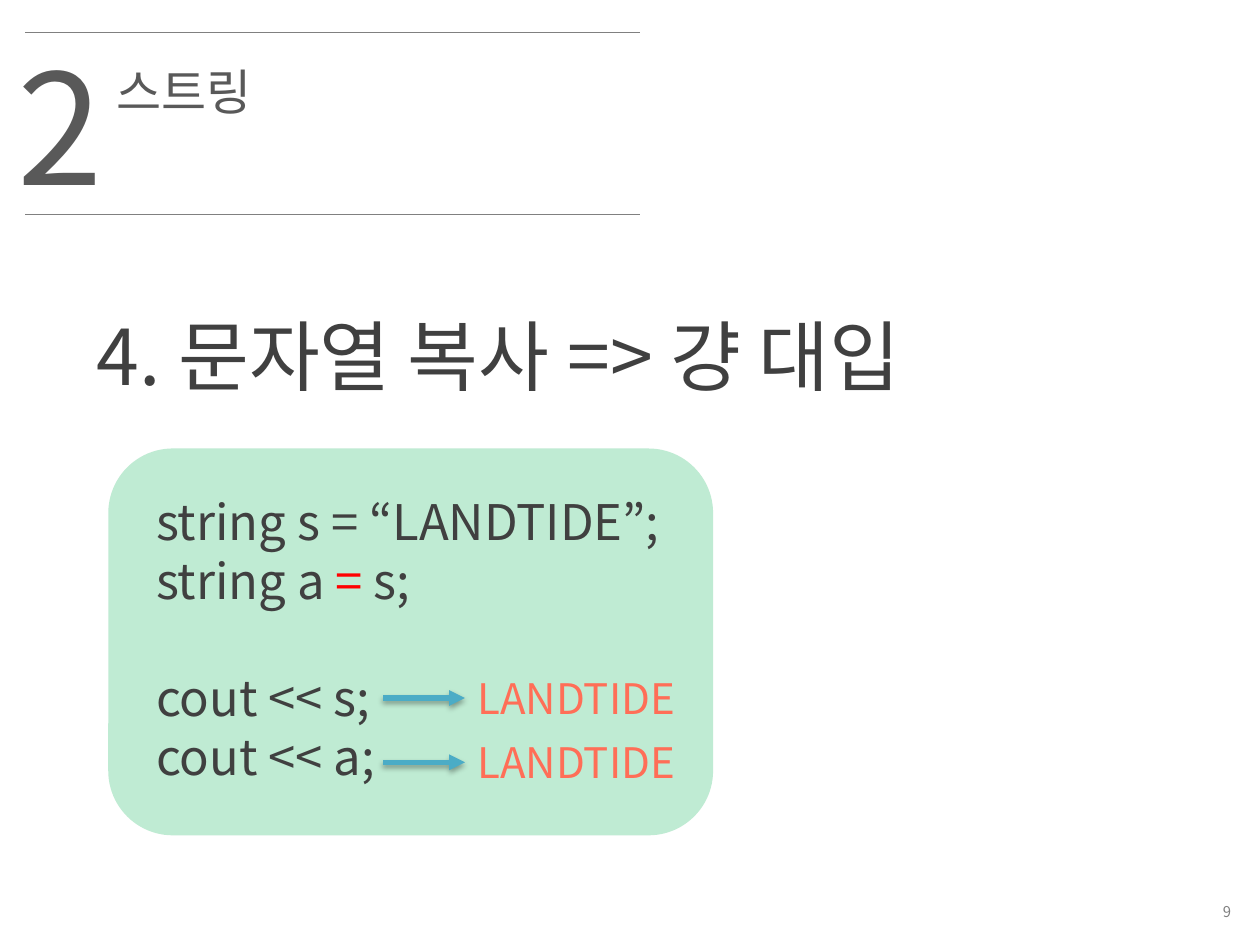
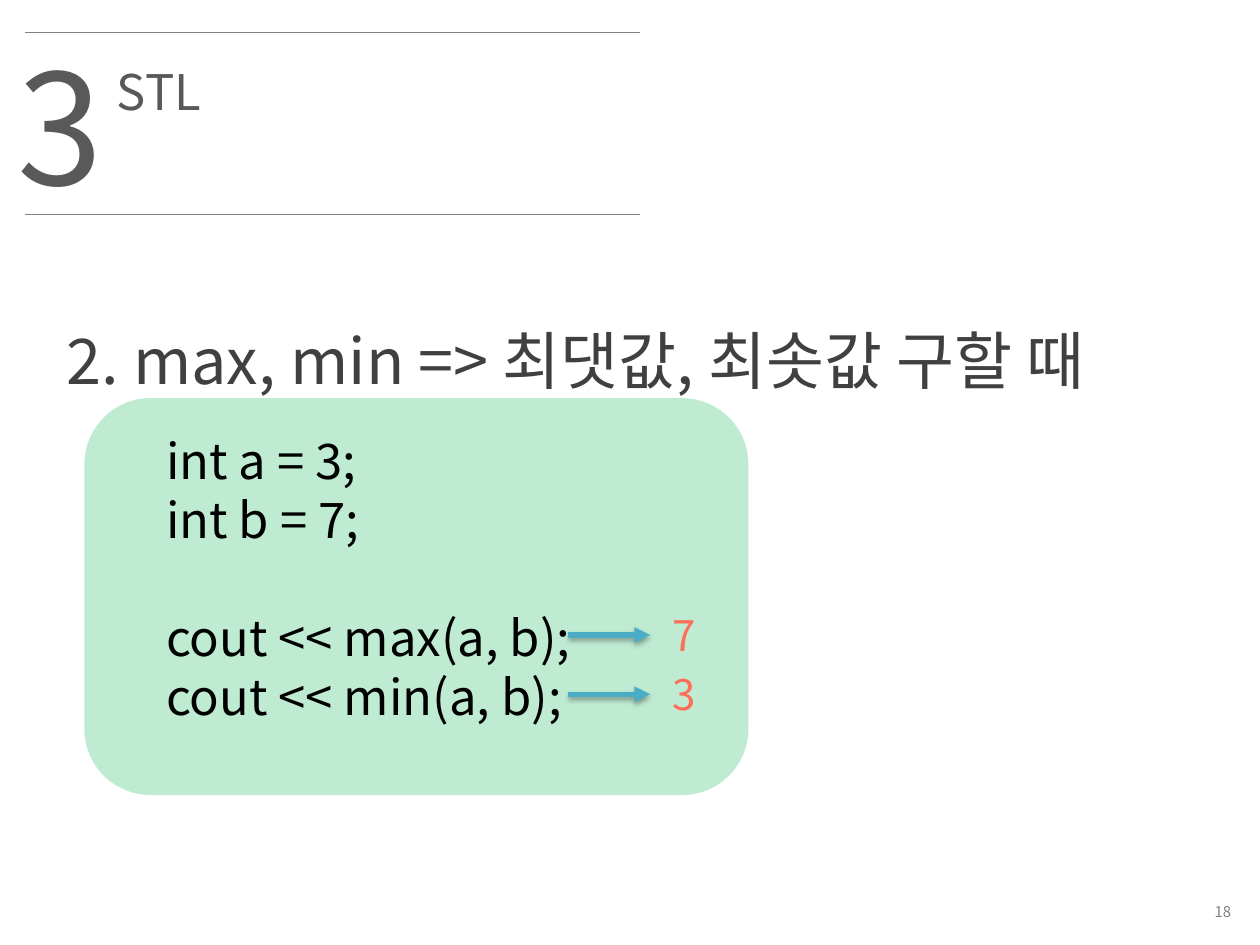
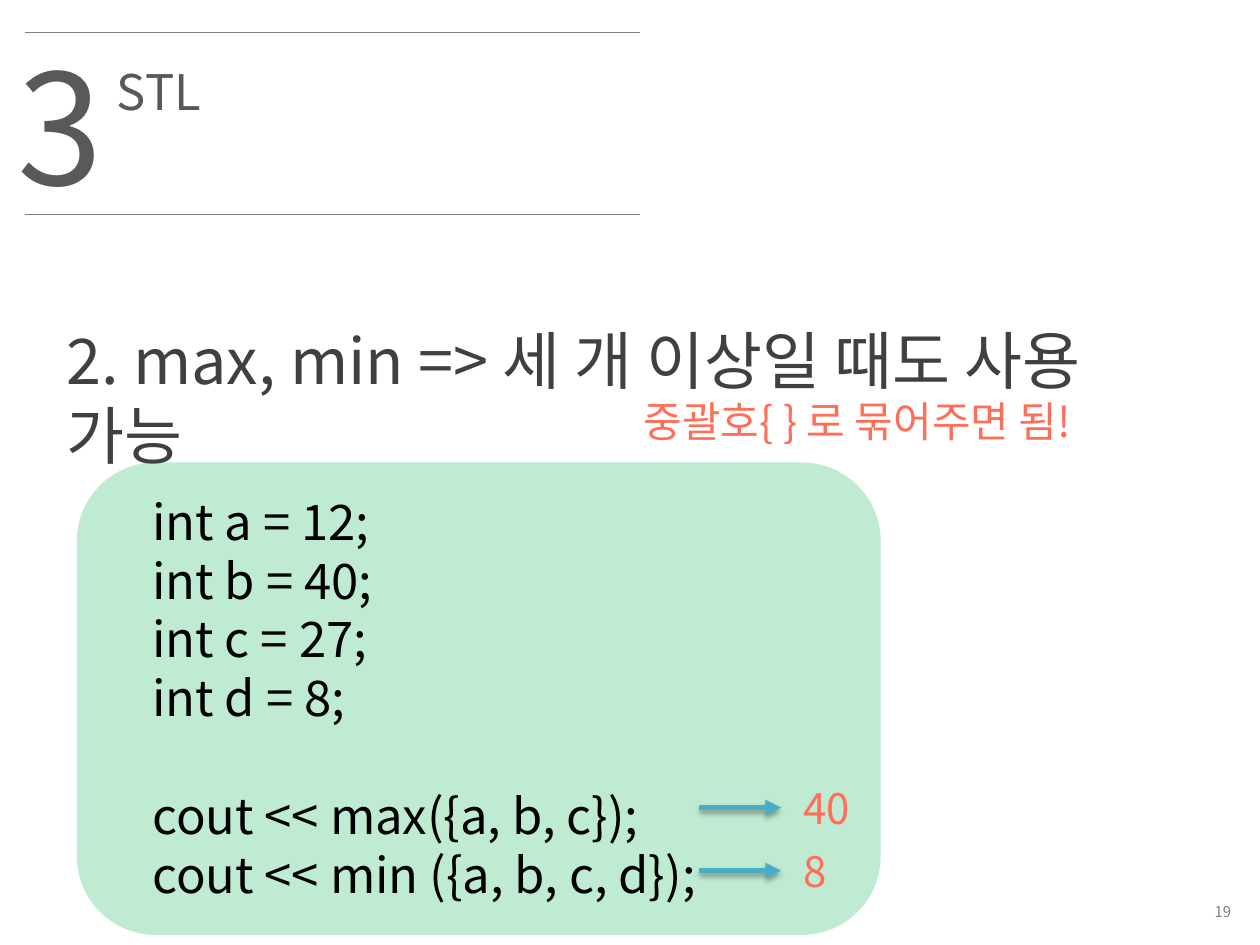
from dataclasses import dataclass
from math import isclose
from typing import Optional

from lxml.etree import SubElement
from pptx import Presentation
from pptx.dml.color import RGBColor
from pptx.enum.shapes import MSO_CONNECTOR, MSO_SHAPE
from pptx.enum.text import MSO_ANCHOR, MSO_AUTO_SIZE, PP_ALIGN
from pptx.oxml.ns import qn
from pptx.util import Emu, Inches, Pt

WIDTH, HEIGHT = Inches(10), Inches(7.5)
COLS, ROWS = 100, 75
FONT = "Noto Sans CJK KR"
DARK, HEAD, GRAY, BLACK = "404040", "595959", "808080", "000000"
RED, CORAL, GREEN, BLUE = "FF0000", "FF6E57", "00B050", "4BACC6"
HANG = 3.8
CODE_SIZE, CODE_GAP = 28, 33.6
NOTE_SIZE, NOTE_WIDE, NOTE_HIGH = 24, 22.5, 5
ARROW = 6.5


@dataclass(frozen=True)
class Box:
    left: float
    top: float
    wide: float
    high: float


@dataclass(frozen=True)
class Run:
    text: str
    tint: str


@dataclass(frozen=True)
class Line:
    runs: tuple[Run, ...]
    gap: float = 0


@dataclass(frozen=True)
class Title:
    text: str
    size: int
    box: Box


@dataclass(frozen=True)
class Code:
    box: Box
    blocks: tuple[tuple[tuple[Run, ...], ...], ...]


@dataclass(frozen=True)
class Result:
    text: str
    top: float


@dataclass(frozen=True)
class Output:
    start: float
    left: float
    items: tuple[Result, ...]


@dataclass(frozen=True)
class Page:
    count: str
    chapter: str
    topic: str
    title: Title
    card: Box
    code: Code
    output: Output
    hint: Optional[Title] = None


def col(count: float) -> Emu:
    return Emu(round(WIDTH * count / COLS))


def row(count: float) -> Emu:
    return Emu(round(HEIGHT * count / ROWS))


def place(box: Box) -> tuple[Emu, Emu, Emu, Emu]:
    return col(box.left), row(box.top), col(box.wide), row(box.high)


def color(code: str) -> RGBColor:
    return RGBColor.from_string(code)


def plain(text: str, tint: str) -> tuple[Run, ...]:
    return (Run(text, tint),)


def write(slide, box: Box, lines: list[Line], size: float, hang: bool = False):
    shape = slide.shapes.add_textbox(*place(box))
    frame = shape.text_frame
    frame.word_wrap = True
    frame.auto_size = MSO_AUTO_SIZE.SHAPE_TO_FIT_TEXT
    for index, line in enumerate(lines):
        para = frame.add_paragraph() if index else frame.paragraphs[0]
        para.space_before = Pt(line.gap)
        if hang:
            props = para._p.get_or_add_pPr()
            props.set("marL", str(col(HANG)))
            props.set("indent", str(-col(HANG)))
        for item in line.runs:
            run = para.add_run()
            run.text = item.text
            run.font.size = Pt(size)
            run.font.name = FONT
            run.font.color.rgb = color(item.tint)
            SubElement(run._r.get_or_add_rPr(), qn("a:ea"), typeface=FONT)
    return shape


def label(slide, box: Box, text: str, size: float, tint: str, hang: bool = True):
    return write(slide, box, [Line(plain(text, tint))], size, hang)


def stroke(slide, left: float, right: float, level: float, tint: str, weight: float):
    link = slide.shapes.add_connector(
        MSO_CONNECTOR.STRAIGHT, col(left), row(level), col(right), row(level)
    )
    link.line.color.rgb = color(tint)
    link.line.width = Pt(weight)
    return link, SubElement(link._element.spPr, qn("a:effectLst"))


def arrow(slide, left: float, level: float):
    link, effect = stroke(slide, left, left + ARROW, level, BLUE, 3)
    SubElement(link._element.spPr.find(qn("a:ln")), qn("a:tailEnd"), type="triangle")
    shade = SubElement(
        effect, qn("a:outerShdw"), blurRad=str(Pt(3.1)), dist=str(Pt(1.8)),
        dir="5400000", rotWithShape="0",
    )
    fade(SubElement(shade, qn("a:srgbClr"), val=BLACK), 35)
    return link


def fade(node, share: int) -> None:
    SubElement(node, qn("a:alpha"), val=str(share * 1000))


def draw_card(slide, box: Box) -> None:
    card = slide.shapes.add_shape(MSO_SHAPE.ROUNDED_RECTANGLE, *place(box))
    card.shadow.inherit = False
    card.fill.solid()
    card.fill.fore_color.rgb = color(GREEN)
    fade(card._element.spPr.find(qn("a:solidFill"))[0], 25)
    card.line.fill.background()


def draw_frame(slide, page: Page) -> None:
    foot = label(slide, Box(77.6, 71, 21.1, 2.7), page.count, 8.5, GRAY, False)
    foot.text_frame.auto_size = MSO_AUTO_SIZE.NONE
    foot.text_frame.vertical_anchor = MSO_ANCHOR.MIDDLE
    foot.text_frame.paragraphs[0].alignment = PP_ALIGN.RIGHT
    for level in (2.6, 17):
        stroke(slide, 2, 50.8, level, GRAY, 0.75)
    label(slide, Box(0.4, 2, 7.9, 15.8), page.chapter, 88, HEAD)
    label(slide, Box(8.3, 4.4, 21.3, 5.7), page.topic, 28, HEAD)


def draw_code(slide, code: Code) -> None:
    lines = [
        Line(runs, CODE_GAP if order and not index else 0)
        for order, group in enumerate(code.blocks)
        for index, runs in enumerate(group)
    ]
    write(slide, code.box, lines, CODE_SIZE)


def draw_output(slide, output: Output) -> None:
    for item in output.items:
        box = Box(output.left, item.top, NOTE_WIDE, NOTE_HIGH)
        note = label(slide, box, item.text, NOTE_SIZE, CORAL)
        link = arrow(slide, output.start, item.top + NOTE_HIGH / 2)
        if isclose(output.start + ARROW, output.left):
            link.end_connect(note, 1)


def draw_page(deck, page: Page) -> None:
    slide = deck.slides.add_slide(deck.slide_layouts[6])
    draw_card(slide, page.card)
    draw_frame(slide, page)
    label(slide, page.title.box, page.title.text, page.title.size, DARK, False)
    draw_code(slide, page.code)
    draw_output(slide, page.output)
    if page.hint:
        label(slide, page.hint.box, page.hint.text, page.hint.size, CORAL)


def block(tint: str, *texts: str) -> tuple[tuple[Run, ...], ...]:
    return tuple(plain(text, tint) for text in texts)


WORD = "LANDTIDE"
PAGES = (
    Page(
        "9", "2", "스트링",
        Title("4. 문자열 복사 => 걍 대입", 44, Box(6.7, 24, 93.3, 8.4)),
        Box(8.6, 35.6, 48, 30.7),
        Code(Box(11.4, 38.5, 48, 24.6), (
            (
                plain(f"string s = “{WORD}”;", DARK),
                (Run("string a ", DARK), Run("= ", RED), Run("s;", DARK)),
            ),
            block(DARK, "cout << s;", "cout << a;"),
        )),
        Output(30.4, 36.9, (Result(WORD, 52.9), Result(WORD, 58))),
    ),
    Page(
        "18", "3", "STL",
        Title("2. max, min => 최댓값, 최솟값 구할 때", 36, Box(4.3, 25, 88.1, 7.1)),
        Box(6.7, 31.6, 52.7, 31.5),
        Code(Box(12.2, 33.7, 45.5, 24.6), (
            block(BLACK, "int a = 3;", "int b = 7;"),
            block(BLACK, "cout << max(a, b);", "cout << min(a, b);"),
        )),
        Output(45.1, 52.4, (Result("7", 47.9), Result("3", 52.6))),
    ),
    Page(
        "19", "3", "STL",
        Title("2. max, min => 세 개 이상일 때도 사용 가능", 36, Box(4.3, 25, 91.3, 7.1)),
        Box(6.1, 36.7, 63.8, 37.5),
        Code(Box(11.1, 38.5, 45.5, 34), (
            block(BLACK, "int a = 12;", "int b = 40;", "int c = 27;", "int d = 8;"),
            block(BLACK, "cout << max({a, b, c});", "cout << min ({a, b, c, d});"),
        )),
        Output(55.5, 62.8, (Result("40", 61.6), Result("8", 66.6))),
        Title("중괄호{ } 로 묶어주면 됨!", NOTE_SIZE, Box(50.1, 30.9, 39.4, 5)),
    ),
)


def main() -> None:
    deck = Presentation()
    deck.slide_width, deck.slide_height = WIDTH, HEIGHT
    for page in PAGES:
        draw_page(deck, page)
    deck.save("out.pptx")


if __name__ == "__main__":
    main()
